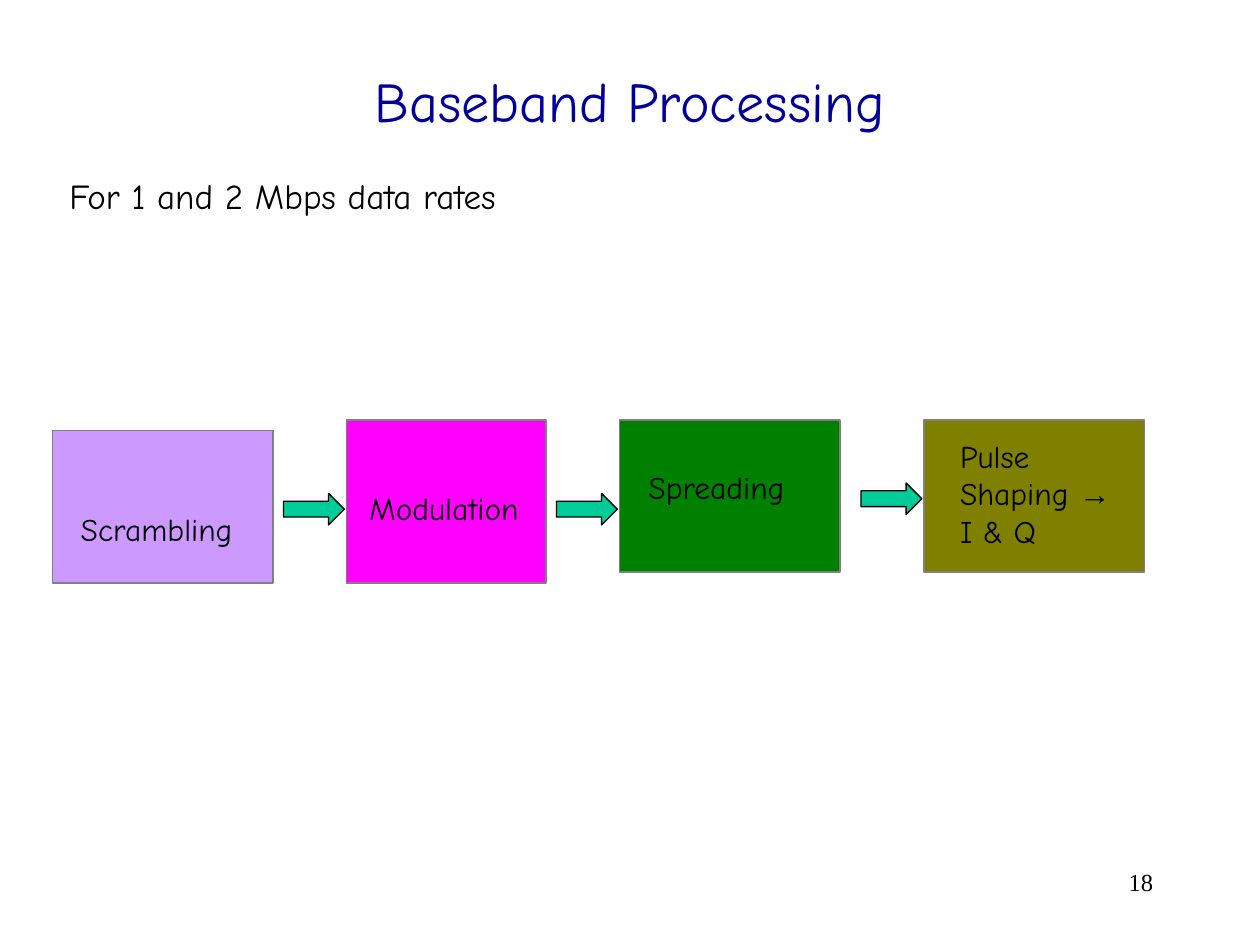
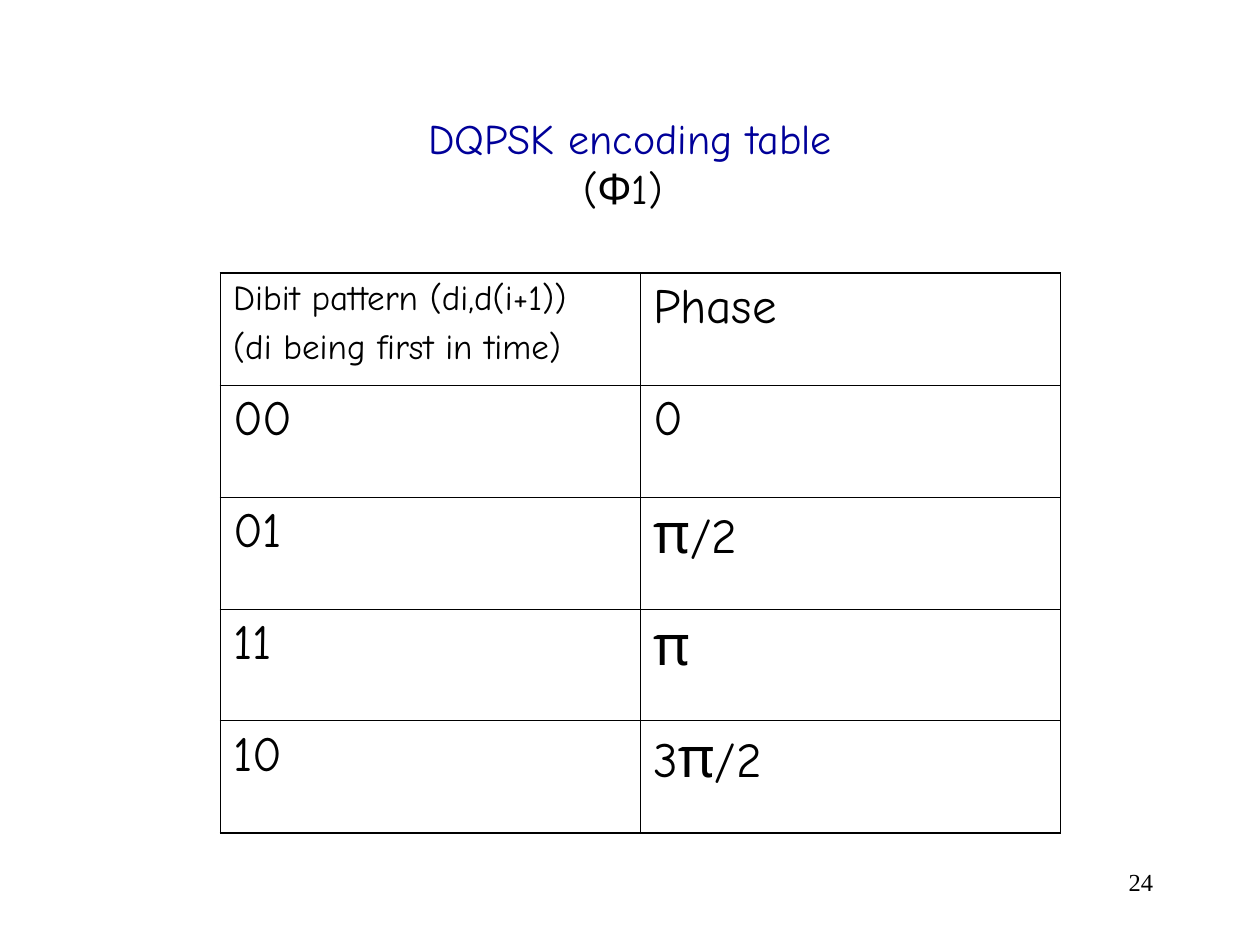
from dataclasses import dataclass
from itertools import groupby

from lxml.etree import SubElement
from pptx import Presentation
from pptx.dml.color import RGBColor
from pptx.enum.shapes import MSO_SHAPE
from pptx.enum.text import MSO_ANCHOR, PP_ALIGN
from pptx.oxml.ns import qn
from pptx.util import Pt


@dataclass(frozen=True)
class Theme:
    font: str = "Comic Neue"
    arrow_font: str = "Arial"
    number_font: str = "Times New Roman"
    title: str = "000099"
    text: str = "000000"
    box_line: str = "808080"
    arrow: str = "00CC99"
    lilac: str = "CC99FF"
    magenta: str = "FF00FF"
    green: str = "008000"
    olive: str = "808000"
    title_size: int = 32
    subtitle_size: int = 24
    body_size: int = 20
    label_size: int = 18
    cell_size: int = 28
    pi_size: int = 32
    number_size: int = 14
    outer_border: float = 1.08
    inner_border: float = 0.45


THEME = Theme()


def style(r, size, color=THEME.text, font=THEME.font):
    r.font.size = Pt(size)
    r.font.name = font
    r.font.color.rgb = RGBColor.from_string(color)


def write(p, text, size):
    """Fill a paragraph, giving arrows their own font and π its own size."""
    for symbol, chars in groupby(text, lambda c: c if c in "→π" else ""):
        r = p.add_run()
        r.text = "".join(chars)
        style(r, THEME.pi_size if symbol == "π" else size,
              font=THEME.arrow_font if symbol == "→" else THEME.font)


def write_lines(tf, lines, size, space=0):
    for i, line in enumerate(lines):
        p = tf.add_paragraph() if i else tf.paragraphs[0]
        if i and space:
            p.space_before = Pt(space)
        write(p, line, size)


def add_text(s, left, top, width, height, wrap=True):
    tf = s.shapes.add_textbox(Pt(left), Pt(top), Pt(width), Pt(height)).text_frame
    tf.word_wrap = wrap
    return tf


def add_label(s, left, top, width, height, lines, size=THEME.label_size):
    write_lines(add_text(s, left, top, width, height, wrap=False), lines, size)


def add_title(s, top, height, text, size):
    """Add a centred title; what follows a line break is in the text colour."""
    tf = add_text(s, 54, top, 612, height)
    tf.vertical_anchor = MSO_ANCHOR.MIDDLE
    p = tf.paragraphs[0]
    p.text = text
    p.alignment = PP_ALIGN.CENTER
    for i, r in enumerate(p.runs):
        style(r, size, THEME.text if i else THEME.title)


def add_number(s, number):
    p = add_text(s, 516, 492, 150, 36).paragraphs[0]
    p.text = str(number)
    p.alignment = PP_ALIGN.RIGHT
    style(p.runs[0], THEME.number_size, font=THEME.number_font)


def add_block(s, kind, left, top, width, height, fill, line, weight):
    sp = s.shapes.add_shape(kind, Pt(left), Pt(top), Pt(width), Pt(height))
    sp.shadow.inherit = False
    sp.fill.solid()
    sp.fill.fore_color.rgb = RGBColor.from_string(fill)
    sp.line.color.rgb = RGBColor.from_string(line)
    sp.line.width = Pt(weight)


def add_stage(s, left, top, width, height, fill):
    add_block(s, MSO_SHAPE.RECTANGLE, left, top, width, height,
              fill, THEME.box_line, 1)


def add_arrow(s, left, top):
    add_block(s, MSO_SHAPE.RIGHT_ARROW, left, top, 34.8, 18,
              THEME.arrow, THEME.text, 0.75)


def set_borders(cell, outer_sides):
    tc_pr = cell._tc.get_or_add_tcPr()
    for side in "LRTB":
        weight = THEME.outer_border if side in outer_sides else THEME.inner_border
        ln = SubElement(tc_pr, qn(f"a:ln{side}"), w=str(Pt(weight)))
        SubElement(SubElement(ln, qn("a:solidFill")), qn("a:srgbClr"), val=THEME.text)


def add_grid(s, left, top, col_width, row_height, rows):
    n_rows, n_cols = len(rows), len(rows[0])
    table = s.shapes.add_table(n_rows, n_cols, Pt(left), Pt(top),
                               Pt(col_width * n_cols), Pt(row_height * n_rows)).table
    table.first_row = table.horz_banding = False
    for i, row in enumerate(rows):
        for j, text in enumerate(row):
            cell = table.cell(i, j)
            lines = text.split("\n")
            size = THEME.body_size if len(lines) > 1 else THEME.cell_size
            write_lines(cell.text_frame, lines, size, space=5)
            edges = {"L": j == 0, "R": j == n_cols - 1, "T": i == 0, "B": i == n_rows - 1}
            set_borders(cell, [side for side, outer in edges.items() if outer])
            cell.fill.background()


def baseband_slide(s):
    add_stage(s, 354, 240, 126, 87, THEME.green)
    add_stage(s, 528, 240, 126, 87, THEME.olive)
    add_stage(s, 30, 246, 126, 87, THEME.lilac)
    add_stage(s, 198, 240, 114, 93, THEME.magenta)
    add_label(s, 363.5, 264, 92, 29, ["Spreading"])
    add_label(s, 39, 288, 101.5, 29, ["Scrambling"])
    add_label(s, 204, 276, 106.5, 29, ["Modulation"])
    add_label(s, 541.5, 246, 106.5, 72, ["Pulse", "Shaping →", "I & Q"])
    add_title(s, 24, 66, "Baseband Processing", THEME.title_size)
    add_label(s, 32.5, 96, 260.5, 31.5, ["For 1 and 2 Mbps data rates"], THEME.body_size)
    for left, top in ((162, 282), (318, 282), (492, 276)):
        add_arrow(s, left, top)
    add_number(s, 18)


def encoding_slide(s):
    add_title(s, 48, 90, "DQPSK encoding table\v(Φ1) ", THEME.subtitle_size)
    add_grid(s, 126, 156, 240, 64, [
        ("Dibit pattern (di,d(i+1))\n(di being first in time)", "Phase"),
        ("00", "0"),
        ("01", "π/2"),
        ("11", "π"),
        ("10", "3π/2"),
    ])
    add_number(s, 24)


def main():
    prs = Presentation()
    prs.slide_width, prs.slide_height = Pt(720), Pt(540)
    for build in (baseband_slide, encoding_slide):
        build(prs.slides.add_slide(prs.slide_layouts[6]))
    prs.save("out.pptx")


if __name__ == "__main__":
    main()
